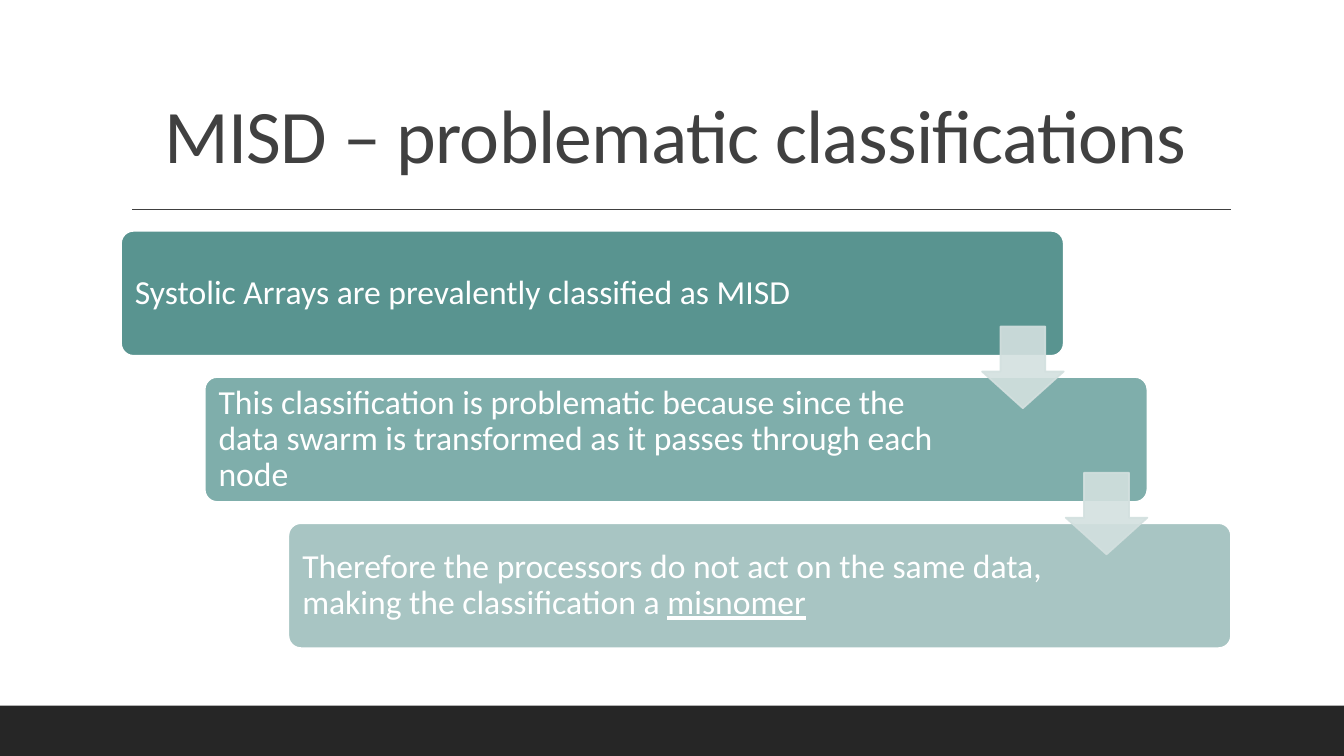
import pptx
import pptx.util
import pptx.dml.color
import pptx.enum.shapes
import pptx.enum.text
import pptx.oxml.ns
import pptx.oxml.xmlchemy

Inches = pptx.util.Inches
Pt = pptx.util.Pt
SHAPES = pptx.enum.shapes.MSO_SHAPE
ALIGN = pptx.enum.text.PP_ALIGN
ANCHOR = pptx.enum.text.MSO_ANCHOR

STEPS = [
    ("599490", 8.01, [("Systolic Arrays are prevalently classified as MISD", False)]),
    ("7FAEAB", 7.64, [("This classification is problematic because since the data swarm "
                       "is transformed as it passes through each node", False)]),
    ("A8C5C3", 7.64, [("Therefore the processors do not act on the same data, "
                       "making the classification a ", False), ("misnomer", True)]),
]
STEP_LEFT, STEP_TOP = 1.2, 2.29
STEP_RIGHT, STEP_DOWN = 0.83, 1.45
STEP_WIDTH, STEP_HEIGHT = 9.35, 1.24
TEXT_INSET = 0.04
ARROW_SIZE = 0.81


def colour(value):
    return pptx.dml.color.RGBColor.from_string(value)


def add_block(page, kind, left, top, width, height, fill, line=None, adjustments=()):
    block = page.shapes.add_shape(kind, Inches(left), Inches(top), Inches(width), Inches(height))
    block.shadow.inherit = False
    block.fill.solid()
    block.fill.fore_color.rgb = colour(fill)
    if line:
        block.line.color.rgb = colour(line)
        block.line.width = Pt(1.25)
    else:
        block.line.fill.background()
    for index, value in enumerate(adjustments):
        block.adjustments[index] = value
    return block


def add_text(page, left, top, width, height, pieces, size, hue, spacing,
             anchor=ANCHOR.MIDDLE, align=ALIGN.LEFT, tracking=0, inset=None):
    box = page.shapes.add_textbox(Inches(left), Inches(top), Inches(width), Inches(height))
    frame = box.text_frame
    frame.word_wrap = True
    frame.vertical_anchor = anchor
    if inset is not None:
        frame.margin_left = frame.margin_right = Inches(inset)
        frame.margin_top = frame.margin_bottom = Inches(inset)
    para = frame.paragraphs[0]
    para.alignment = align
    para.line_spacing = spacing
    for words, underlined in pieces:
        span = para.add_run()
        span.text = words
        span.font.name = "Calibri"
        span.font.size = Pt(size)
        span.font.color.rgb = colour(hue)
        if underlined:
            span.font.underline = True
        if tracking:
            span.font._element.set("spc", str(tracking))


def add_rule(page, left, right, top):
    rule = page.shapes.add_connector(pptx.enum.shapes.MSO_CONNECTOR.STRAIGHT,
                                     Inches(left), Inches(top), Inches(right), Inches(top))
    rule.line.color.rgb = colour("404040")
    rule.line.width = Pt(1)
    rule._element.spPr.append(pptx.oxml.xmlchemy.OxmlElement("a:effectLst"))


def add_step(page, index, fill, text_width, pieces):
    left = STEP_LEFT + index * STEP_RIGHT
    top = STEP_TOP + index * STEP_DOWN
    add_block(page, SHAPES.ROUNDED_RECTANGLE, left, top, STEP_WIDTH, STEP_HEIGHT,
              fill, "FFFFFF", [0.1])
    add_text(page, left + TEXT_INSET, top + TEXT_INSET, text_width,
             STEP_HEIGHT - 2 * TEXT_INSET, pieces, 24, "FFFFFF", 0.9, inset=0.1)


def add_arrow(page, index):
    left = STEP_LEFT + STEP_WIDTH - ARROW_SIZE + index * STEP_RIGHT
    top = STEP_TOP + 0.95 + index * STEP_DOWN
    arrow = add_block(page, SHAPES.DOWN_ARROW, left, top, ARROW_SIZE, ARROW_SIZE,
                      "D3E0DF", "D3E0DF", [0.55, 0.45])
    for tint in arrow._element.spPr.iter(pptx.oxml.ns.qn("a:srgbClr")):
        alpha = pptx.oxml.xmlchemy.OxmlElement("a:alpha")
        alpha.set("val", "90000")
        tint.append(alpha)


def main():
    deck = pptx.Presentation()
    deck.slide_width = Inches(13.33)
    deck.slide_height = Inches(7.5)
    page = deck.slides.add_slide(deck.slide_layouts[6])

    add_block(page, SHAPES.RECTANGLE, 0, 7, 13.33, 0.5, "262626")
    add_rule(page, 1.31, 12.21, 2.08)
    add_text(page, 1.2, 0.96, 11, 0.86, [("MISD – problematic classifications", False)],
             54, "404040", 0.8, ANCHOR.BOTTOM, ALIGN.CENTER, tracking=-50)
    for index, (fill, text_width, pieces) in enumerate(STEPS):
        add_step(page, index, fill, text_width, pieces)
    for index in range(len(STEPS) - 1):
        add_arrow(page, index)

    deck.save("out.pptx")


if __name__ == "__main__":
    main()
